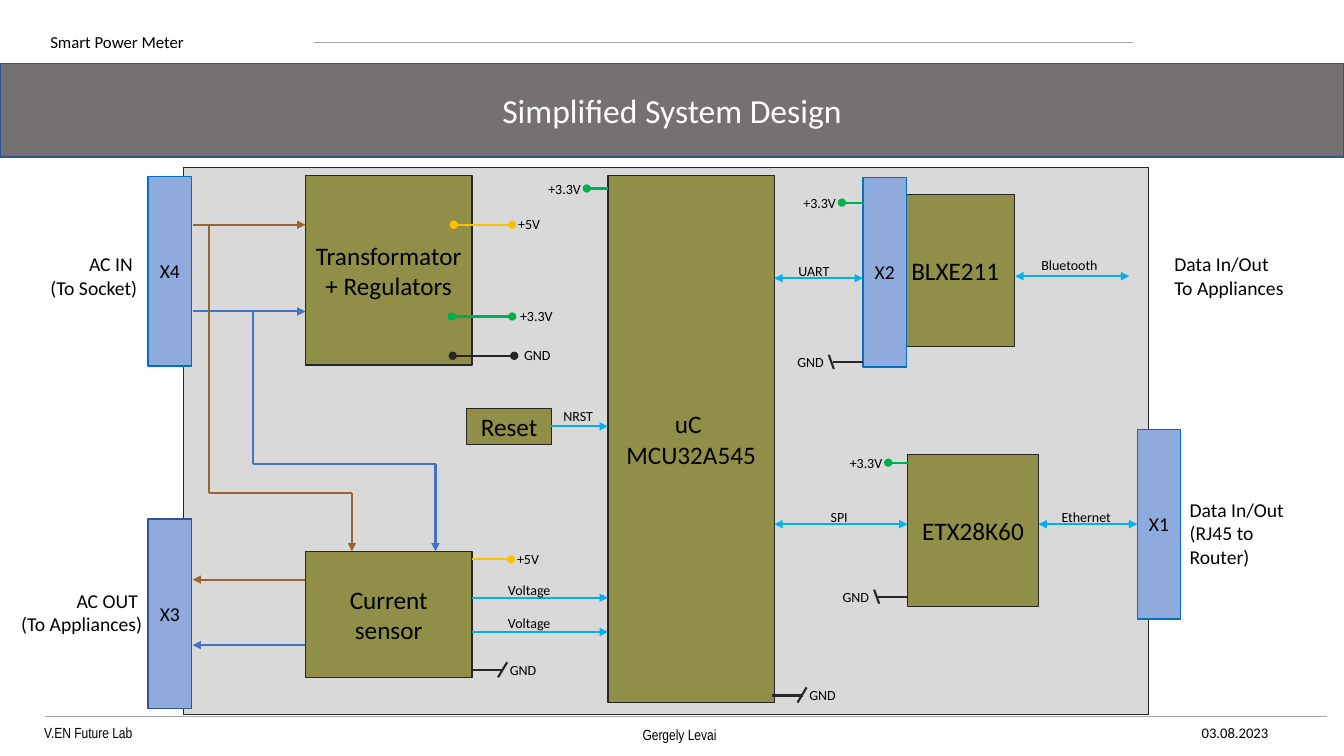
from pptx import Presentation
from pptx.dml.color import RGBColor
from pptx.enum.shapes import MSO_CONNECTOR, MSO_SHAPE
from pptx.enum.text import MSO_ANCHOR, PP_ALIGN
from pptx.oxml.ns import qn
from pptx.util import Inches, Pt
from lxml.etree import SubElement

BLACK, INK, GRAY = "000000", "262626", "A5A5A5"
OLIVE, PALE_BLUE, BORDER_BLUE, NAVY = "918F47", "8FAADC", "0070C0", "325491"
LIVE, NEUTRAL, SIGNAL = "996633", "4472C4", "00B0F0"
AMBER, GREEN = "FFC000", "00B050"
LABEL_WIDTHS = {"+5V": 0.42, "+3.3V": 0.53, "GND": 0.47, "UART": 0.52, "SPI": 0.52,
                "NRST": 0.5, "Voltage": 0.64, "Ethernet": 0.81, "Bluetooth": 0.81}


def rgb(value):
    return RGBColor.from_string(value)


class Diagram:
    font = "Calibri"

    def __init__(self, slide):
        self.shapes = slide.shapes

    def fill_text(self, tf, text, size, color=BLACK, align=PP_ALIGN.LEFT, font=None):
        for i, line in enumerate(text.split("\n")):
            p = tf.add_paragraph() if i else tf.paragraphs[0]
            p.text = line
            p.alignment = align
            p.font.name = font or self.font
            p.font.size = Pt(size)
            p.font.color.rgb = rgb(color)

    def box(self, x, y, w, h, fill, line=INK, text="", size=18, color=BLACK):
        sp = self.shapes.add_shape(MSO_SHAPE.RECTANGLE, *map(Inches, (x, y, w, h)))
        sp.shadow.inherit = False
        sp.fill.solid()
        sp.fill.fore_color.rgb = rgb(fill)
        sp.line.color.rgb = rgb(line)
        sp.line.width = Pt(1)
        tf = sp.text_frame
        tf.word_wrap = True
        tf.vertical_anchor = MSO_ANCHOR.MIDDLE
        self.fill_text(tf, text, size, color, PP_ALIGN.CENTER)

    def port(self, x, y, text, line=BORDER_BLUE):
        self.box(x, y, 0.43, 1.88, PALE_BLUE, line, text, 14)

    def text(self, x, y, w, h, text, size, align=PP_ALIGN.LEFT, font=None, wrap=True):
        tf = self.shapes.add_textbox(*map(Inches, (x, y, w, h))).text_frame
        tf.word_wrap = wrap
        self.fill_text(tf, text, size, align=align, font=font)

    def label(self, x, y, text):
        self.text(x, y, LABEL_WIDTHS[text], 0.27, text, 10, wrap=False)

    def wire(self, start, end, color, head=None, tail=None, width=1.5):
        points = map(Inches, (*start, *end))
        cxn = self.shapes.add_connector(MSO_CONNECTOR.STRAIGHT, *points)
        cxn.line.color.rgb = rgb(color)
        cxn.line.width = Pt(width)
        ln = cxn._element.spPr.find(qn("a:ln"))
        for tag, kind in (("a:headEnd", head), ("a:tailEnd", tail)):
            if kind:
                SubElement(ln, qn(tag), type=kind)
        SubElement(cxn._element.spPr, qn("a:effectLst"))

    def route(self, points, color):
        last = len(points) - 2
        for i, (start, end) in enumerate(zip(points, points[1:])):
            self.wire(start, end, color, tail="triangle" if i == last else None)

    def ground_right(self, x, y):
        self.wire((x, y), (x + 0.3, y), INK)
        self.wire((x + 0.25, y + 0.07), (x + 0.34, y - 0.08), INK)
        self.label(x + 0.27, y - 0.14, "GND")

    def ground_left(self, x, y):
        self.wire((x, y), (x - 0.3, y), INK)
        self.wire((x - 0.29, y + 0.07), (x - 0.34, y - 0.07), INK)
        self.label(x - 0.75, y - 0.13, "GND")

    def supply_left(self, x, y):
        self.wire((x, y), (x - 0.21, y), GREEN, tail="oval")
        self.label(x - 0.69, y - 0.13, "+3.3V")


def main():
    prs = Presentation()
    prs.slide_width, prs.slide_height = Inches(13.33), Inches(7.5)
    s = Diagram(prs.slides.add_slide(prs.slide_layouts[6]))

    s.box(1.82, 1.66, 9.57, 5.43, "D9D9D9")
    s.box(0, 0.63, 13.33, 0.93, "767171", NAVY, "Simplified System Design", 24, "FFFFFF")
    s.text(0.4, 0.27, 2.71, 0.3, "Smart Power Meter", 12)
    s.wire((3.11, 0.42), (11.24, 0.42), GRAY, width=0.5)
    s.wire((0.45, 7.11), (13.16, 7.11), GRAY, width=0.5)
    s.text(0.34, 7.13, 3.8, 0.28, "V.EN Future Lab", 10.5, font="Arial Narrow")
    s.text(4.84, 7.15, 3.8, 0.28, "Gergely Levai", 10.5, PP_ALIGN.CENTER, "Arial Narrow")
    s.text(11.82, 7.13, 1.51, 0.28, "03.08.2023", 10.5)

    for x, y, w, h, name in (
        (3.03, 1.74, 1.65, 1.88, "Transformator + Regulators"),
        (3.03, 5.47, 1.65, 1.25, "Current sensor"),
        (4.63, 4.05, 0.84, 0.36, "Reset"),
        (6.03, 1.74, 1.65, 5.23, "uC \nMCU32A545"),
        (8.89, 1.93, 1.17, 1.51, "BLXE211"),
        (9, 4.51, 1.3, 1.51, "ETX28K60"),
    ):
        s.box(x, y, w, h, OLIVE, text=name)
    s.port(1.47, 1.75, "X4")
    s.port(1.47, 5.15, "X3", NAVY)
    s.port(8.56, 1.76, "X2")
    s.port(11.28, 4.26, "X1")

    s.route([(1.91, 2.23), (3.03, 2.23)], LIVE)
    s.route([(1.91, 3.09), (3.03, 3.09)], NEUTRAL)
    s.route([(2.07, 2.23), (2.07, 4.89), (3.49, 4.89), (3.49, 5.47)], LIVE)
    s.route([(2.51, 3.09), (2.51, 4.6), (4.32, 4.6), (4.32, 5.47)], NEUTRAL)
    s.route([(3.03, 5.75), (1.91, 5.75)], LIVE)
    s.route([(3.03, 6.4), (1.91, 6.4)], NEUTRAL)

    for x, y, end, color, label_x, name in (
        (4.5, 2.23, 5.08, AMBER, 5.04, "+5V"),
        (4.48, 3.14, 5.08, GREEN, 5.06, "+3.3V"),
        (4.49, 3.53, 5.1, INK, 5.1, "GND"),
    ):
        s.wire((x, y), (end, y), color, "oval", "oval")
        s.label(label_x, y - 0.14, name)
    s.wire((4.68, 5.55), (5.07, 5.55), AMBER, tail="oval")
    s.label(5.03, 5.41, "+5V")

    for x, y in ((6.03, 1.87), (8.56, 2.01), (9.02, 4.59)):
        s.supply_left(x, y)
    for x, y in ((4.69, 6.65), (7.66, 6.9)):
        s.ground_right(x, y)
    for x, y in ((8.56, 3.59), (9.01, 5.92)):
        s.ground_left(x, y)

    for x, end, y, head, label_x, label_y, name in (
        (4.68, 6.03, 5.93, None, 4.94, 5.72, "Voltage"),
        (4.68, 6.03, 6.27, None, 4.94, 6.05, "Voltage"),
        (5.47, 6.03, 4.23, None, 5.49, 3.99, "NRST"),
        (7.68, 8.56, 2.76, "triangle", 7.82, 2.56, "UART"),
        (7.68, 9, 5.2, "triangle", 8.14, 5, "SPI"),
        (10.3, 11.28, 5.2, "triangle", 10.43, 5, "Ethernet"),
        (10.07, 11.2, 2.74, "triangle", 10.23, 2.5, "Bluetooth"),
    ):
        s.wire((x, y), (end, y), SIGNAL, head, "triangle")
        s.label(label_x, label_y, name)

    s.text(0.27, 2.45, 1.19, 0.57, "AC IN \n(To Socket)", 14, PP_ALIGN.RIGHT, wrap=False)
    s.text(0.09, 5.79, 1.42, 0.57, "AC OUT \n(To Appliances)", 14, PP_ALIGN.RIGHT, wrap=False)
    s.text(11.55, 2.45, 1.3, 0.57, "Data In/Out\nTo Appliances", 14, wrap=False)
    s.text(11.7, 4.89, 1.35, 0.8, "Data In/Out\n(RJ45 to Router)", 14)

    prs.save("out.pptx")


if __name__ == "__main__":
    main()
